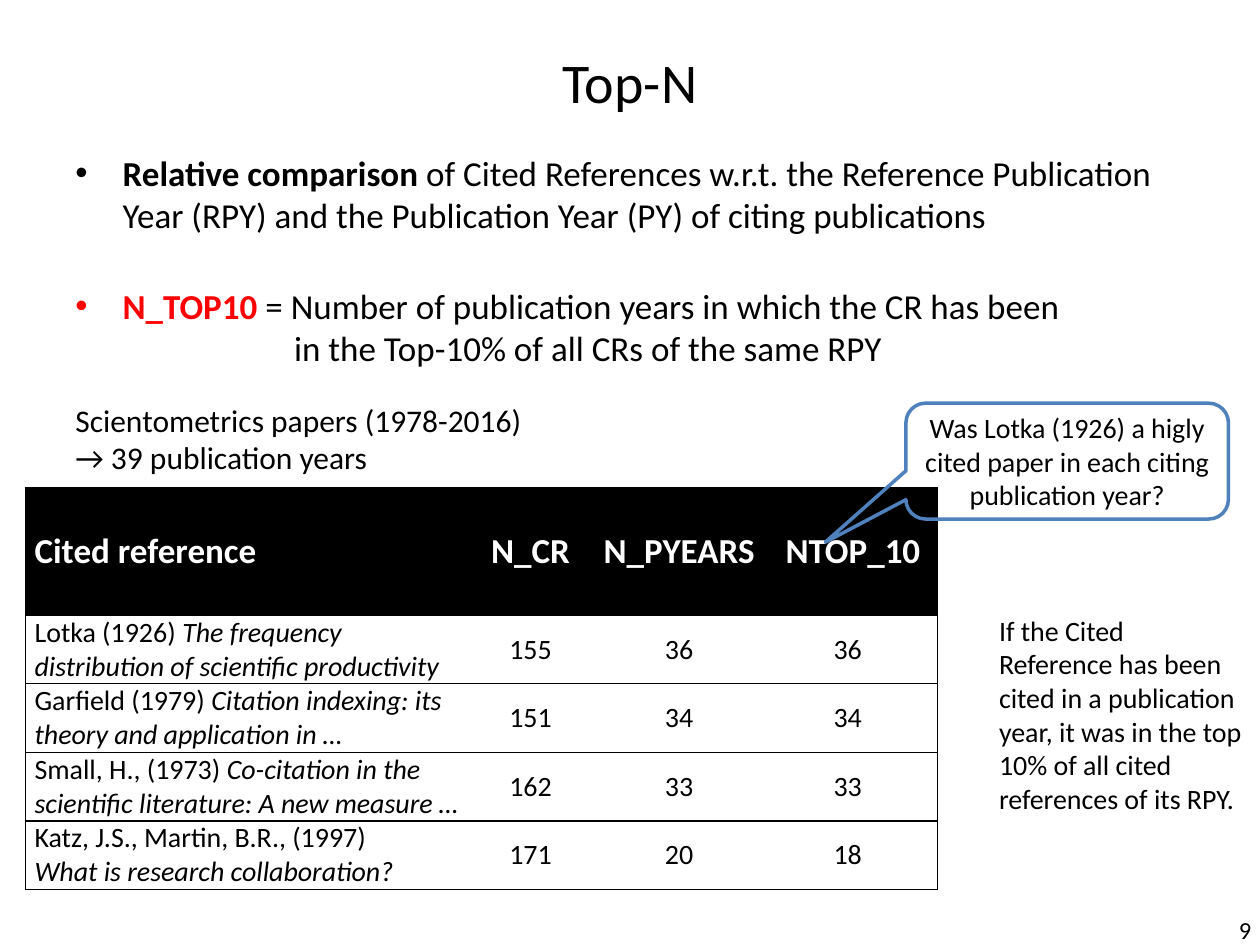
from lxml.etree import SubElement
from pptx import Presentation
from pptx.dml.color import RGBColor
from pptx.enum.shapes import MSO_SHAPE as Shape
from pptx.enum.text import MSO_ANCHOR as Anchor, PP_ALIGN as Align
from pptx.oxml import parse_xml
from pptx.oxml.ns import nsdecls, qn
from pptx.util import Pt

BLACK, WHITE, RED, BLUE = "000000", "FFFFFF", "FF0000", "4F81BD"
HEADS = ["Cited reference", "N_CR", "N_PYEARS", "NTOP_10"]
ROWS = [
    ("Lotka (1926) ", "The frequency distribution of scientific productivity", 155, 36, 36),
    ("Garfield (1979) ", "Citation indexing: its theory and application in …", 151, 34, 34),
    ("Small, H., (1973) ", "Co-citation in the scientific literature: A new measure …", 162, 33, 33),
    ("Katz, J.S., Martin, B.R., (1997)\n", "What is research collaboration?", 171, 20, 18),
]


def paint(hue):
    return RGBColor.from_string(hue)


def style(para, size, hue=BLACK, align=Align.LEFT):
    para.alignment = align
    font = para.font
    font.name, font.size = "Calibri", Pt(size)
    font.color.rgb = paint(hue)


def write(para, text):
    """Add text as runs, with a line break at each newline; return the last run."""
    for i, line in enumerate(text.split("\n")):
        if i:
            para.add_line_break()
        if line:
            run = para.add_run()
            run.text = line
    return run


def add_box(slide, box, text, size, align=Align.LEFT):
    frame = slide.shapes.add_textbox(*map(Pt, box)).text_frame
    frame.word_wrap = True
    para = frame.paragraphs[0]
    style(para, size, align=align)
    if text:
        write(para, text)
    return frame


def set_title(slide, box, text):
    title = slide.shapes.title
    title.left, title.top, title.width, title.height = map(Pt, box)
    frame = title.text_frame
    frame.text = text
    frame.vertical_anchor = Anchor.MIDDLE
    style(frame.paragraphs[0], 32, align=Align.CENTER)


def add_bullet(para, lead, rest, hue=BLACK):
    style(para, 20)
    props = para._p.get_or_add_pPr()
    props.set("marL", str(Pt(27)))
    props.set("indent", str(Pt(-27)))
    SubElement(SubElement(props, qn("a:buClr")), qn("a:srgbClr"), val=hue)
    SubElement(props, qn("a:buFont"), typeface="Arial")
    SubElement(props, qn("a:buChar"), char="•")
    # The mark colour and font stand before the default run properties.
    props.append(props.find(qn("a:defRPr")))
    font = write(para, lead).font
    font.bold = True
    font.color.rgb = paint(hue)
    write(para, rest)


def add_points(slide, box):
    frame = add_box(slide, box, "", 20)
    add_bullet(frame.paragraphs[0], "Relative comparison ",
               "of Cited References w.r.t. the Reference Publication Year (RPY) "
               "and the Publication Year (PY) of citing publications")
    para = frame.add_paragraph()
    para.space_before = Pt(28)
    add_bullet(para, "N_TOP10 ",
               "= Number of publication years in which the CR has been", RED)
    para = frame.add_paragraph()
    style(para, 20)
    para._p.get_or_add_pPr().set("marL", str(Pt(125)))
    write(para, "in the Top-10% of all CRs of the same RPY")


def set_edges(cell, first, last):
    """Rule a cell above and below, and at the outer sides of the table."""
    props = cell._tc.get_or_add_tcPr()
    for i, (side, shown) in enumerate(zip("LRTB", (first, last, True, True))):
        fill = (f'<a:solidFill><a:srgbClr val="{BLACK}"/></a:solidFill>'
                if shown else "<a:noFill/>")
        props.insert(i, parse_xml(
            f'<a:ln{side} {nsdecls("a")} w="{Pt(0.75)}">{fill}</a:ln{side}>'))


def fill_cell(cell, col, text, head):
    cell.vertical_anchor = Anchor.MIDDLE
    cell.margin_top = cell.margin_bottom = 0
    cell.margin_left = cell.margin_right = Pt(5.4)
    if head:
        cell.fill.solid()
        cell.fill.fore_color.rgb = paint(BLACK)
    else:
        cell.fill.background()
    set_edges(cell, col == 0, col == len(HEADS) - 1)
    para = cell.text_frame.paragraphs[0]
    align = Align.CENTER if col else Align.LEFT
    if col == 3 and not head:
        align = Align.RIGHT
        cell.margin_right = Pt(43.2)
    style(para, 20 if head else 16, WHITE if head else BLACK, align)
    para.font.bold = head
    run = write(para, text)
    run.font.bold = head
    return para


def add_refs(slide, box):
    left, top, width, height = box
    table = slide.shapes.add_table(len(ROWS) + 1, len(HEADS), *map(Pt, box)).table
    for col, part in zip(table.columns, (254.9, 67.7, 102.2, 96.5)):
        col.width = Pt(part)
    first = 73
    for i, row in enumerate(table.rows):
        row.height = Pt((height - first) / len(ROWS) if i else first)
    for col, text in enumerate(HEADS):
        fill_cell(table.cell(0, col), col, text, True)
    for i, (author, work, *counts) in enumerate(ROWS, 1):
        para = fill_cell(table.cell(i, 0), 0, author, False)
        write(para, work).font.italic = True
        for col, count in enumerate(counts, 1):
            fill_cell(table.cell(i, col), col, str(count), False)


def add_callout(slide, box, text):
    shape = slide.shapes.add_shape(Shape.ROUNDED_RECTANGULAR_CALLOUT, *map(Pt, box))
    shape.shadow.inherit = False
    for i, value in enumerate((-0.75, 0.7, 0.17)):
        shape.adjustments[i] = value
    shape.fill.background()
    shape.line.color.rgb = paint(BLUE)
    shape.line.width = Pt(2)
    frame = shape.text_frame
    frame.word_wrap = True
    frame.vertical_anchor = Anchor.MIDDLE
    style(frame.paragraphs[0], 16, align=Align.CENTER)
    write(frame.paragraphs[0], text)


def add_number(slide, box, text):
    frame = add_box(slide, box, text, 14, Align.RIGHT)
    frame.margin_left = frame.margin_right = 0
    frame.margin_top = frame.margin_bottom = 0


def main():
    deck = Presentation()
    deck.slide_width, deck.slide_height = Pt(720), Pt(540)
    slide = deck.slides.add_slide(deck.slide_layouts[5])
    add_number(slide, (689, 522.7, 26, 17.3), "9")
    set_title(slide, (36, 21.6, 648, 49.7), "Top-N")
    add_points(slide, (36, 82.8, 648, 158.4))
    add_refs(slide, (14.4, 278.6, 521.3, 229.8))
    add_box(slide, (36, 225.4, 289.4, 51),
            "Scientometrics papers (1978-2016)\n→ 39 publication years", 18)
    add_box(slide, (563.8, 347, 153.4, 124),
            "If the Cited Reference has been cited in a publication year, "
            "it was in the top 10% of all cited references of its RPY.", 16)
    add_callout(slide, (517.7, 230.4, 184.3, 66.2),
                "Was Lotka (1926) a higly cited paper in each citing publication year?")
    deck.save("out.pptx")


if __name__ == "__main__":
    main()
